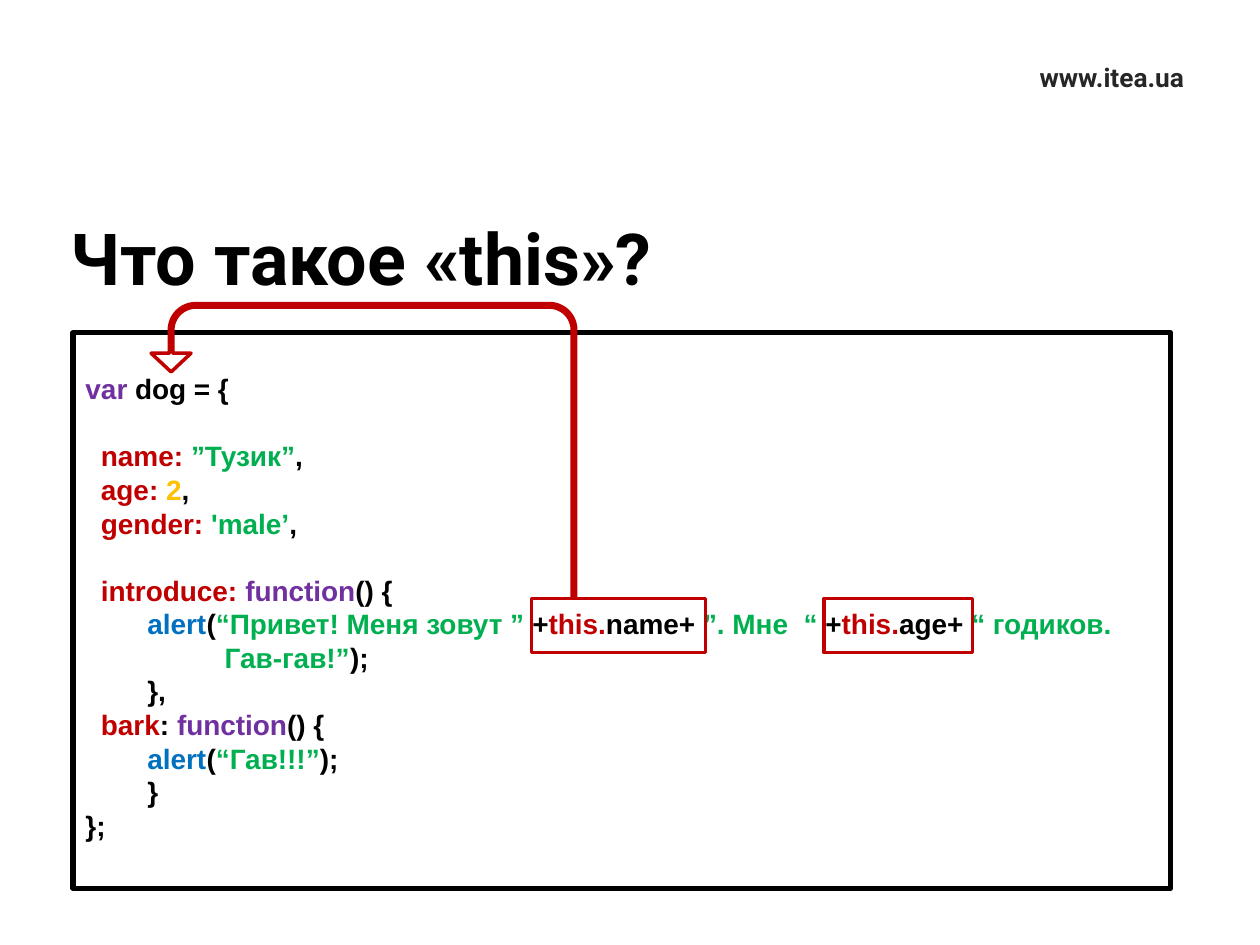
import pptx
import pptx.util
import pptx.dml.color
import pptx.enum.shapes
import pptx.enum.text

Inches, Pt = pptx.util.Inches, pptx.util.Pt
RGBColor = pptx.dml.color.RGBColor
MSO_SHAPE = pptx.enum.shapes.MSO_SHAPE
PP_ALIGN = pptx.enum.text.PP_ALIGN
MSO_ANCHOR = pptx.enum.text.MSO_ANCHOR

BLACK = RGBColor(0x00, 0x00, 0x00)
WHITE = RGBColor(0xFF, 0xFF, 0xFF)
GRAY = RGBColor(0x26, 0x26, 0x26)
RED = RGBColor(0xC0, 0x00, 0x00)
GREEN = RGBColor(0x00, 0xB0, 0x50)
PURPLE = RGBColor(0x70, 0x30, 0xA0)
BLUE = RGBColor(0x00, 0x70, 0xC0)
YELLOW = RGBColor(0xFF, 0xC0, 0x00)

SITE = "www.itea.ua"
TITLE = "Что такое «this»?"
CODE_BLOCKS = [
    [
        [("var", PURPLE), (" dog = {", BLACK)],
    ],
    [
        [("  name: ", RED), ("”Тузик”", GREEN), (",", BLACK)],
        [("  age: ", RED), ("2", YELLOW), (",", BLACK)],
        [("  gender: ", RED), ("'male’", GREEN), (",", BLACK)],
    ],
    [
        [("  introduce: ", RED), ("function", PURPLE), ("() {", BLACK)],
        [("        alert", BLUE), ("(", BLACK), ("“Привет! Меня зовут ” ", GREEN),
         ("+", BLACK), ("this.", RED), ("name+ ", BLACK), ("”. Мне  “ ", GREEN),
         ("+", BLACK), ("this.", RED), ("age+ ", BLACK), ("“ годиков.", GREEN)],
        [("                  Гав-гав!”", GREEN), (");", BLACK)],
        [("        },", BLACK)],
        [("  bark", RED), (": ", BLACK), ("function", PURPLE), ("() {", BLACK)],
        [("        alert", BLUE), ("(", BLACK), ("“Гав!!!”", GREEN), (");", BLACK)],
        [("        }", BLACK)],
        [("};", BLACK)],
    ],
]
LINE_PITCH = Pt(19.2)
THIS_TOP, THIS_HEIGHT = 4.75, 0.43
THIS_SPANS = [(4.22, 1.38), (6.54, 1.18)]
ARROW_BENDS = [0.012, 0.068, 0.064, 0.09, 0.233]


def add_outline(slide, preset, box, fill=None, line=None, width=2):
    outline = slide.shapes.add_shape(preset, *map(Inches, box))
    outline.shadow.inherit = False
    if fill is None:
        outline.fill.background()
    else:
        outline.fill.solid()
        outline.fill.fore_color.rgb = fill
    if line is None:
        outline.line.fill.background()
    else:
        outline.line.color.rgb = line
        outline.line.width = Pt(width)
    return outline


def style(font, name, size, color=None):
    font.name, font.size, font.bold = name, Pt(size), True
    if color is not None:
        font.color.rgb = color


def write_label(holder, text, size, color, align):
    frame = holder.text_frame
    frame.word_wrap = True
    frame.vertical_anchor = MSO_ANCHOR.MIDDLE
    label = frame.paragraphs[0]
    label.text, label.alignment = text, align
    style(label.font, "Roboto", size, color)


def write_code(frame):
    frame.word_wrap = True
    frame.vertical_anchor = MSO_ANCHOR.TOP
    frame.margin_top = Inches(0.31)
    for block_index, block in enumerate(CODE_BLOCKS):
        for line_index, tokens in enumerate(block):
            first = block_index == line_index == 0
            line = frame.paragraphs[0] if first else frame.add_paragraph()
            line.alignment = PP_ALIGN.LEFT
            line.line_spacing = LINE_PITCH
            if line_index == 0 and not first:
                line.space_before = LINE_PITCH
            style(line.font, "Arial", 16)
            for text, color in tokens:
                token = line.add_run()
                token.text = text
                style(token.font, "Arial", 16, color)


def main():
    deck = pptx.Presentation()
    deck.slide_width, deck.slide_height = Inches(10), Inches(7.5)
    slide = deck.slides.add_slide(deck.slide_layouts[6])

    site = add_outline(slide, MSO_SHAPE.ROUNDED_RECTANGLE, (7.81, 0.45, 2.03, 0.32))
    site.adjustments[0] = 0
    write_label(site, SITE, 15, GRAY, PP_ALIGN.CENTER)

    title = slide.shapes.add_textbox(*map(Inches, (0.46, 1.41, 8.96, 1.25)))
    write_label(title, TITLE, 41, BLACK, PP_ALIGN.LEFT)

    code = add_outline(slide, MSO_SHAPE.RECTANGLE, (0.58, 2.64, 8.71, 4.41),
                       WHITE, BLACK, 3)
    write_code(code.text_frame)

    for left, width in THIS_SPANS:
        add_outline(slide, MSO_SHAPE.RECTANGLE,
                    (left, THIS_TOP, width, THIS_HEIGHT), line=RED)

    arrow = add_outline(slide, MSO_SHAPE.U_TURN_ARROW, (1.2, 2.41, 3.37, 2.33),
                        WHITE, RED)
    for index, bend in enumerate(ARROW_BENDS):
        arrow.adjustments[index] = bend
    arrow._element.spPr.get_or_add_xfrm().set("flipH", "1")

    deck.save("out.pptx")


if __name__ == "__main__":
    main()
